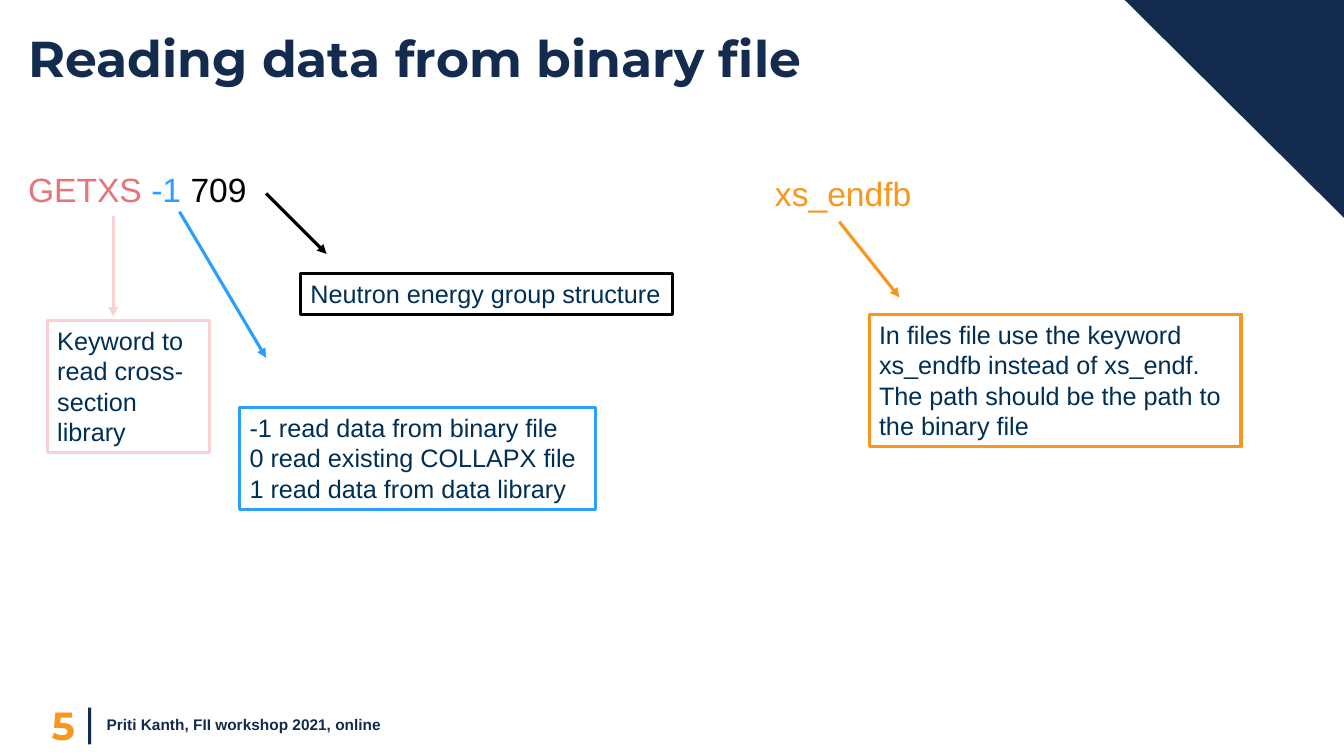
from dataclasses import dataclass

import pptx
import pptx.dml.color
import pptx.enum.shapes
import pptx.enum.text
import pptx.oxml
import pptx.oxml.ns
import pptx.slide
import pptx.text.text
import pptx.util

Pt = pptx.util.Pt
Anchor = pptx.enum.text.MSO_ANCHOR
Align = pptx.enum.text.PP_ALIGN
AutoSize = pptx.enum.text.MSO_AUTO_SIZE


@dataclass(frozen=True)
class Theme:
    navy: str = "132B4E"
    note_text: str = "002F56"
    orange: str = "F8971D"
    blue: str = "2B9FFF"
    red: str = "E6747A"
    pink: str = "F7D1D3"
    black: str = "000000"
    heading_font: str = "Montserrat"
    body_font: str = "Arial"
    title_size: float = 36
    mark_size: float = 28
    command_size: float = 24
    note_size: float = 18
    footer_size: float = 11
    line_width: float = 2.25


THEME = Theme()


@dataclass(frozen=True)
class Label:
    """Text without a border; runs are (text, colour) pairs."""
    box: tuple[float, float, float, float]
    runs: tuple[tuple[str, str], ...]
    size: float
    font: str = THEME.body_font
    bold: bool = False
    anchor: Anchor = Anchor.TOP
    align: Align = Align.LEFT
    wrap: bool = True
    inset: float = 7.2
    line_spacing: float = 1.0


@dataclass(frozen=True)
class Note:
    """Bordered explanation with the arrow that leads to it."""
    box: tuple[float, float, float, float]
    lines: tuple[str, ...]
    color: str
    arrow_from: tuple[float, float]
    arrow_to: tuple[float, float]


LABELS = (
    Label((60.5, 500.4, 3.6, 28.8), (("|", THEME.navy),), THEME.mark_size,
          anchor=Anchor.MIDDLE, wrap=False, inset=0),
    Label((13, 120.2, 902.9, 353.5),
          (("GETXS ", THEME.red), ("-1 ", THEME.blue), ("709", THEME.black)),
          THEME.command_size, line_spacing=0.9),
    Label((13, 15.8, 789.1, 104.4), (("Reading data from binary file", THEME.navy),),
          THEME.title_size, THEME.heading_font, bold=True),
    Label((69.1, 503.3, 551.5, 28.8), (("Priti Kanth, FII workshop 2021, online", THEME.navy),),
          THEME.footer_size, bold=True, anchor=Anchor.MIDDLE),
    Label((7.9, 503.3, 52.6, 28.8), (("5", THEME.orange),), THEME.mark_size,
          THEME.heading_font, bold=True, anchor=Anchor.MIDDLE, align=Align.RIGHT),
    Label((546.5, 120.2, 113, 36), (("xs_endfb", THEME.orange),),
          THEME.command_size, wrap=False),
)

NOTES = (
    Note((33.8, 229, 115.9, 94.5), ("Keyword to read cross-section library",),
         THEME.pink, (80.9, 154.1), (80.9, 226.1)),
    Note((171.2, 291, 254.2, 72.7),
         ("-1 read data from binary file", "0 read existing COLLAPX file",
          "1 read data from data library"),
         THEME.blue, (128.2, 151.2), (190.1, 255.6)),
    Note((214.6, 195.3, 265.7, 29.1), ("Neutron energy group structure",),
         THEME.black, (190.1, 138.2), (233.3, 181.4)),
    Note((620.8, 224.6, 265.7, 94.5),
         ("In files file use the keyword xs_endfb instead of xs_endf. "
          "The path should be the path to the binary file",),
         THEME.orange, (599.5, 158.4), (642.5, 212.4)),
)


def rgb(color: str) -> pptx.dml.color.RGBColor:
    return pptx.dml.color.RGBColor.from_string(color)


def set_font(paragraph: pptx.text.text._Paragraph, size: float, font: str, bold: bool) -> None:
    paragraph.font.size = Pt(size)
    paragraph.font.name = font
    paragraph.font.bold = bold


def draw_corner(slide: pptx.slide.Slide) -> None:
    builder = slide.shapes.build_freeform(Pt(960), Pt(0))
    builder.add_line_segments([(Pt(960), Pt(155.6)), (Pt(803.4), Pt(0))], close=True)
    corner = builder.convert_to_shape()
    corner.shadow.inherit = False
    corner.fill.solid()
    corner.fill.fore_color.rgb = rgb(THEME.navy)
    corner.line.fill.background()


def draw_label(slide: pptx.slide.Slide, label: Label) -> None:
    shape = slide.shapes.add_textbox(*map(Pt, label.box))
    frame = shape.text_frame
    frame.word_wrap = label.wrap
    frame.vertical_anchor = label.anchor
    frame.margin_left = frame.margin_right = Pt(label.inset)
    paragraph = frame.paragraphs[0]
    paragraph.alignment = label.align
    paragraph.line_spacing = label.line_spacing
    set_font(paragraph, label.size, label.font, label.bold)
    for text, color in label.runs:
        run = paragraph.add_run()
        run.text = text
        run.font.color.rgb = rgb(color)


def draw_arrow(slide: pptx.slide.Slide, note: Note) -> None:
    arrow = slide.shapes.add_connector(
        pptx.enum.shapes.MSO_CONNECTOR.STRAIGHT,
        *map(Pt, note.arrow_from), *map(Pt, note.arrow_to))
    arrow.line.color.rgb = rgb(note.color)
    arrow.line.width = Pt(THEME.line_width)
    namespace = pptx.oxml.ns.nsdecls("a")
    arrow.line._get_or_add_ln().append(
        pptx.oxml.parse_xml(f'<a:tailEnd {namespace} type="triangle"/>'))
    arrow._element.spPr.append(pptx.oxml.parse_xml(f"<a:effectLst {namespace}/>"))


def draw_note(slide: pptx.slide.Slide, note: Note) -> None:
    draw_arrow(slide, note)
    shape = slide.shapes.add_shape(
        pptx.enum.shapes.MSO_SHAPE.RECTANGLE, *map(Pt, note.box))
    shape.shadow.inherit = False
    shape.fill.background()
    shape.line.color.rgb = rgb(note.color)
    shape.line.width = Pt(THEME.line_width)
    frame = shape.text_frame
    frame.word_wrap = True
    frame.auto_size = AutoSize.SHAPE_TO_FIT_TEXT
    frame.vertical_anchor = Anchor.TOP
    frame.text = "\n".join(note.lines)
    for paragraph in frame.paragraphs:
        paragraph.alignment = Align.LEFT
        set_font(paragraph, THEME.note_size, THEME.body_font, False)
        paragraph.font.color.rgb = rgb(THEME.note_text)


def main() -> None:
    presentation = pptx.Presentation()
    presentation.slide_width = Pt(960)
    presentation.slide_height = Pt(540)
    slide = presentation.slides.add_slide(presentation.slide_layouts[6])

    # Corner decoration
    draw_corner(slide)
    # Title, commands and footer
    for label in LABELS:
        draw_label(slide, label)
    # Explanations of each command part
    for note in NOTES:
        draw_note(slide, note)

    presentation.save("out.pptx")


if __name__ == "__main__":
    main()
